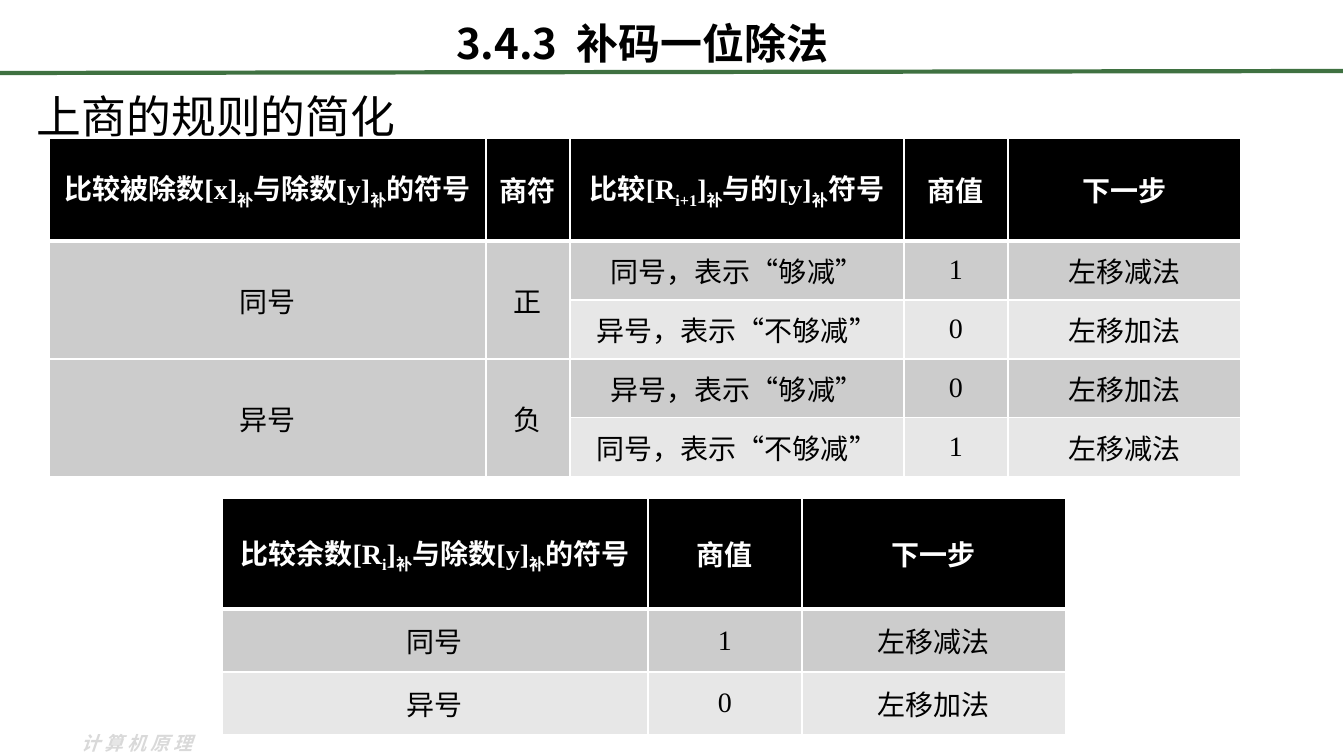
from lxml.etree import SubElement
from pptx import Presentation
from pptx.dml.color import RGBColor
from pptx.enum.shapes import MSO_CONNECTOR as Connector
from pptx.enum.text import MSO_ANCHOR as Anchor, PP_ALIGN as Align
from pptx.oxml.ns import qn
from pptx.util import Emu, Pt

SCALE = 914400 / 100.8
LATIN = "Times New Roman"
CHINESE = "Noto Sans CJK SC"
BLACK, WHITE, DARK, LIGHT = "000000", "FFFFFF", "CCCCCC", "E7E7E7"

SIGN_TABLE = [
    ["比较被除数[x]|补|与除数[y]|补|的符号", "商符", "比较[R|i+1|]|补|与的[y]|补|符号", "商值", "下一步"],
    ["同号", "正", "同号，表示“够减”", "1", "左移减法"],
    ["", "", "异号，表示“不够减”", "0", "左移加法"],
    ["异号", "负", "异号，表示“够减”", "0", "左移加法"],
    ["", "", "同号，表示“不够减”", "1", "左移减法"],
]
REMAINDER_TABLE = [
    ["比较余数[R|i|]|补|与除数[y]|补|的符号", "商值", "下一步"],
    ["同号", "1", "左移减法"],
    ["异号", "0", "左移加法"],
]


def px(length):
    return Emu(round(length * SCALE))


def rgb(color):
    return RGBColor.from_string(color)


def style_span(span, size, color, latin=LATIN, bold=False):
    font = span.font
    font.size, font.bold, font.name = Pt(size), bold, latin
    font.color.rgb = rgb(color)
    SubElement(font._element, qn("a:ea"), typeface=CHINESE)


def add_text(page, frame, text, size, color, latin, bold=False, align=Align.LEFT):
    box = page.shapes.add_textbox(*map(px, frame))
    box.text_frame.word_wrap = True
    box.text_frame.text = text
    para = box.text_frame.paragraphs[0]
    para.alignment = align
    style_span(para.runs[0], size, color, latin, bold)
    return para


def add_rule(page, start, end):
    rule = page.shapes.add_connector(Connector.STRAIGHT, *map(px, start + end))
    rule.line.color.rgb = rgb("3F7141")
    rule.line.width = Pt(3)
    SubElement(rule._element.spPr, qn("a:effectLst"))


def set_borders(cell, top, bottom):
    properties = cell._tc.get_or_add_tcPr()
    for side, width in (("L", 1), ("R", 1), ("T", top), ("B", bottom)):
        border = SubElement(properties, qn(f"a:ln{side}"), w=str(Pt(width)))
        fill = SubElement(border, qn("a:solidFill"))
        SubElement(fill, qn("a:srgbClr"), val=WHITE)


def fill_cell(cell, text, row):
    header = row == 0
    set_borders(cell, 3 if row == 1 else 1, 3 if header else 1)
    cell.fill.solid()
    cell.fill.fore_color.rgb = rgb(BLACK if header else DARK if row % 2 else LIGHT)
    cell.vertical_anchor = Anchor.MIDDLE
    para = cell.text_frame.paragraphs[0]
    para.alignment = Align.CENTER
    for index, part in enumerate(text.split("|") if text else []):
        span = para.add_run()
        span.text = part
        style_span(span, 20, WHITE if header else BLACK, bold=header)
        if index % 2:
            span.font._element.set("baseline", "-25000")


def add_grid(page, left, top, widths, heights, rows):
    frame = page.shapes.add_table(
        len(rows), len(widths), *map(px, (left, top, sum(widths), sum(heights))))
    table = frame.table
    for column, width in zip(table.columns, widths):
        column.width = px(width)
    for line, height in zip(table.rows, heights):
        line.height = px(height)
    for row, texts in enumerate(rows):
        for column, text in enumerate(texts):
            fill_cell(table.cell(row, column), text, row)
    return table


def main():
    deck = Presentation()
    deck.slide_width, deck.slide_height = px(1344), px(756)
    page = deck.slides.add_slide(deck.slide_layouts[6])

    footer = add_text(page, (72, 727, 147, 34), "计算机原理", 13.5, "D9D9D9", CHINESE, True)
    footer.runs[0].font.italic = True
    footer.runs[0].font._element.set("spc", "300")

    heading = add_text(page, (27, 73, 1204, 66), "上商的规则的简化", 32, BLACK, LATIN)
    heading.line_spacing = 1.2
    add_text(page, (171, 13, 943, 61), "3.4.3  补码一位除法", 30, BLACK, CHINESE, True, Align.CENTER)
    add_rule(page, (0, 73), (1343, 71))

    add_grid(page, 222, 498, [426, 154, 264], [111, 63, 63], REMAINDER_TABLE)
    signs = add_grid(page, 49, 138, [437, 84, 334, 104, 233], [103] + [59] * 4, SIGN_TABLE)
    for row in (1, 3):
        for column in (0, 1):
            signs.cell(row, column).merge(signs.cell(row + 1, column))

    deck.save("out.pptx")


if __name__ == "__main__":
    main()
